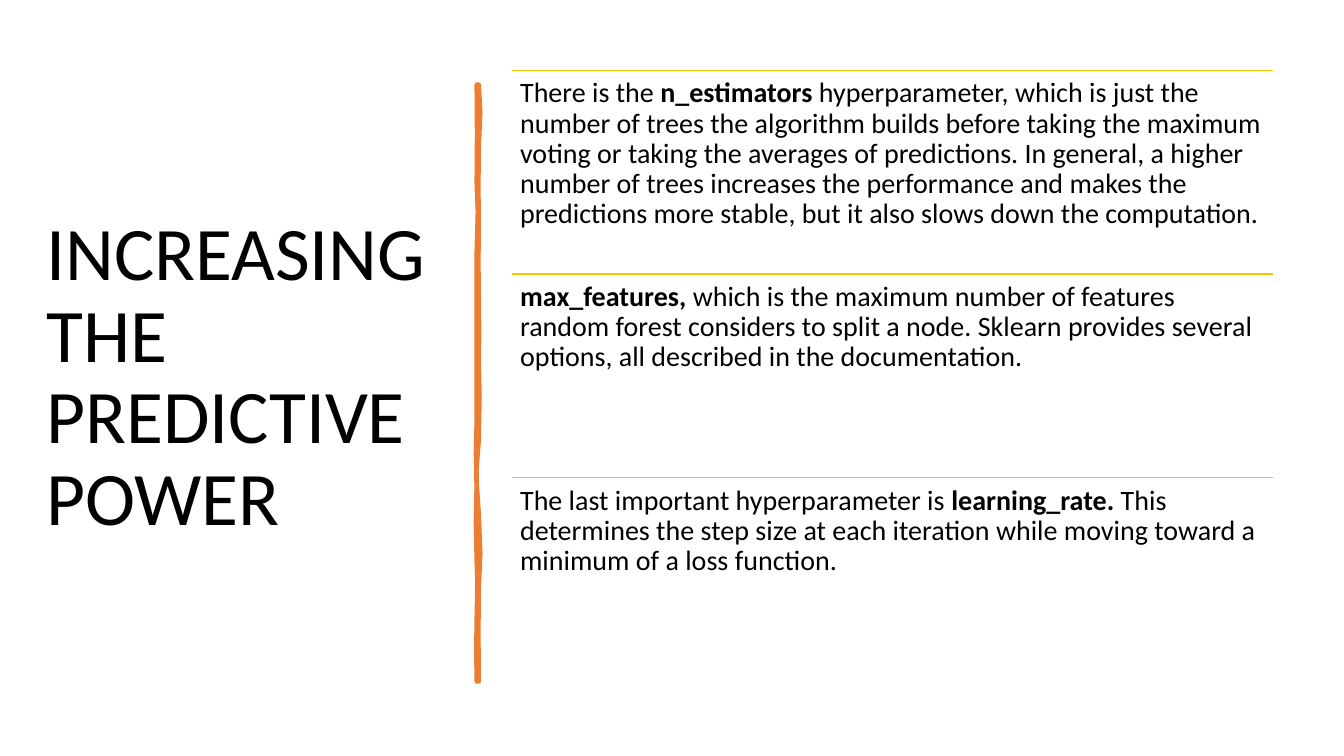
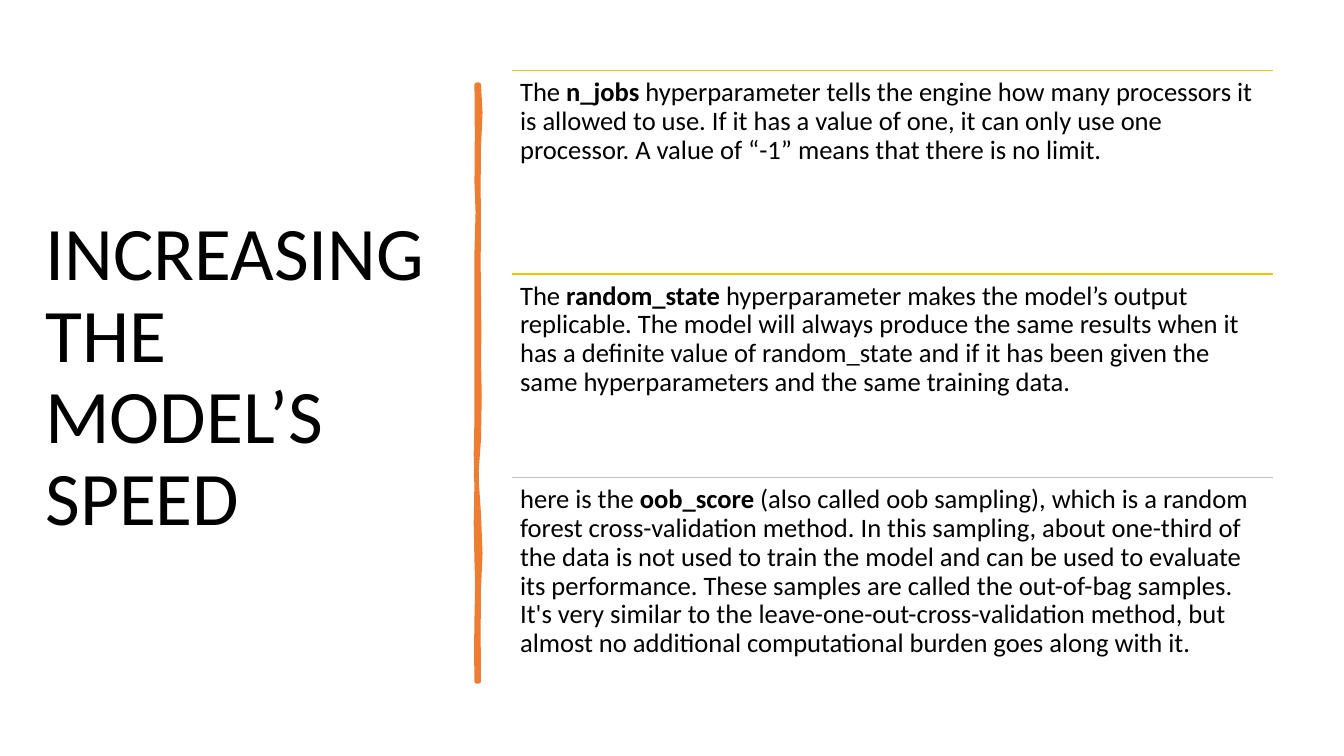
"""Build two slides on tuning a random forest."""
from dataclasses import dataclass

from lxml.etree import SubElement
from pptx import Presentation
from pptx.dml.color import RGBColor
from pptx.enum.shapes import MSO_CONNECTOR
from pptx.enum.text import MSO_ANCHOR
from pptx.oxml.ns import qn
from pptx.util import Inches, Pt


@dataclass(frozen=True)
class Theme:
    font: str = "Calibri"
    ink: str = "000000"
    brush: str = "ED7D31"
    rules: tuple = (("FFC000", 1), ("FFC000", 1), ("BFBFBF", 0.75))
    title: float = 54
    stroke: float = 3.25
    lead: float = 0.9


THEME = Theme()
RIGHT = 4.44
BRUSH = (4.73, 0.84)
LIST = (5.08, 0.7, 7.55, 6.06)

CURVES = (
    (0.04, 0.18, 0.04, 0.35, 0.02, 0.62),
    (0, 0.89, 0.03, 1.11, 0.02, 1.42),
    (0.01, 1.73, 0.02, 1.78, 0.02, 2.1),
    (0.01, 2.42, 0.04, 2.58, 0.02, 2.72),
    (0, 2.86, 0.06, 3.3, 0.02, 3.52),
    (-0.02, 3.73, -0.01, 4, 0.02, 4.26),
    (0.04, 4.52, 0.04, 4.8, 0.02, 5),
    (0, 5.19, 0.03, 5.66, 0.02, 5.92),
    (0.01, 5.92, 0, 5.92, 0, 5.92),
    (0.01, 5.62, -0.02, 5.6, 0, 5.29),
    (0.01, 4.99, 0.01, 4.86, 0, 4.73),
    (-0.01, 4.6, -0.01, 4.11, 0, 3.93),
    (0, 3.75, -0.02, 3.61, 0, 3.31),
    (0.01, 3.02, -0.01, 2.89, 0, 2.51),
    (0.01, 2.14, -0.01, 1.97, 0, 1.66),
    (0.01, 1.34, 0.02, 1.16, 0, 0.97),
    (-0.03, 0.79, 0.04, 0.2, 0, 0),
)

SLIDES = (
    ("INCREASING THE PREDICTIVE POWER", 0.41, 20, 8, (
        "There is the *n_estimators* hyperparameter, which is just the number of "
        "trees the algorithm builds before taking the maximum voting or taking "
        "the averages of predictions. In general, a higher number of trees "
        "increases the performance and makes the predictions more stable, but it "
        "also slows down the computation.",
        "*max_features,* which is the maximum number of features random forest "
        "considers to split a node. Sklearn provides several options, all "
        "described in the documentation.",
        "The last important hyperparameter is *learning_rate.* This determines "
        "the step size at each iteration while moving toward a minimum of a loss "
        "function.",
    )),
    ("INCREASING THE MODEL’S SPEED", 0.4, 19, 7, (
        "The *n_jobs* hyperparameter tells the engine how many processors it is "
        "allowed to use. If it has a value of one, it can only use one processor. "
        "A value of “-1” means that there is no limit.",
        "The *random_state* hyperparameter makes the model’s output replicable. "
        "The model will always produce the same results when it has a definite "
        "value of random_state and if it has been given the same hyperparameters "
        "and the same training data.",
        "here is the *oob_score* (also called oob sampling), which is a random "
        "forest cross-validation method. In this sampling, about one-third of the "
        "data is not used to train the model and can be used to evaluate its "
        "performance. These samples are called the out-of-bag samples. It's very "
        "similar to the leave-one-out-cross-validation method, but almost no "
        "additional computational burden goes along with it.",
    )),
)


def add_text(slide, box, text, size, pad=0.05, before=0, anchor=MSO_ANCHOR.TOP):
    """Place text in a box, with the parts between asterisks in bold."""
    frame = slide.shapes.add_textbox(*map(Inches, box)).text_frame
    frame.word_wrap = True
    frame.vertical_anchor = anchor
    frame.margin_left = frame.margin_right = Inches(pad)
    frame.margin_top = frame.margin_bottom = Inches(pad)
    para = frame.paragraphs[0]
    para.line_spacing = THEME.lead
    para.space_before = Pt(before)
    for index, part in enumerate(text.split("*")):
        if part:
            run = para.add_run()
            run.text = part
            run.font.name = THEME.font
            run.font.size = Pt(size)
            run.font.bold = index % 2 == 1
            run.font.color.rgb = RGBColor.from_string(THEME.ink)


def add_rule(slide, left, top, width, color, weight):
    """Draw a level line without a shadow."""
    ends = map(Inches, (left, top, left + width, top))
    rule = slide.shapes.add_connector(MSO_CONNECTOR.STRAIGHT, *ends)
    rule.line.color.rgb = RGBColor.from_string(color)
    rule.line.width = Pt(weight)
    SubElement(rule._element.spPr, qn("a:effectLst"))


def trace(curves, start):
    """Return the middle and the end of each cubic curve in a chain."""
    points = []
    for ax, ay, bx, by, x, y in curves:
        middle = ((start[0] + 3 * ax + 3 * bx + x) / 8,
                  (start[1] + 3 * ay + 3 * by + y) / 8)
        start = (x, y)
        points += [middle, start]
    return points


def add_brush(slide, left, top):
    """Draw the wavy upright brush stroke."""
    first = (0.02, 0)
    points = [(Inches(left + x), Inches(top + y))
              for x, y in trace(CURVES, first)]
    pen = slide.shapes.build_freeform(Inches(left + first[0]), Inches(top))
    pen.add_line_segments(points, close=True)
    brush = pen.convert_to_shape()
    brush.shadow.inherit = False
    color = RGBColor.from_string(THEME.brush)
    brush.fill.solid()
    brush.fill.fore_color.rgb = color
    brush.line.color.rgb = color
    brush.line.width = Pt(THEME.stroke)
    SubElement(brush._element.spPr.find(qn("a:ln")), qn("a:round"))


def add_list(slide, box, items, size, before):
    """Stack ruled items in rows of equal height."""
    left, top, width, height = box
    row = height / len(items)
    for index, (item, rule) in enumerate(zip(items, THEME.rules)):
        y = top + index * row
        add_rule(slide, left, y, width, *rule)
        add_text(slide, (left, y, width, row), item, size, pad=0.08, before=before)


def add_slide(deck, title, left, size, before, items):
    """Add one slide with a title, a brush stroke and a list."""
    slide = deck.slides.add_slide(deck.slide_layouts[6])
    box = (left, 0.7, RIGHT - left, 6.11)
    add_text(slide, box, title, THEME.title, anchor=MSO_ANCHOR.MIDDLE)
    add_brush(slide, *BRUSH)
    add_list(slide, LIST, items, size, before)


def main():
    """Build and save the deck."""
    deck = Presentation()
    deck.slide_width = Inches(40 / 3)
    deck.slide_height = Inches(7.5)
    for content in SLIDES:
        add_slide(deck, *content)
    deck.save("out.pptx")


if __name__ == "__main__":
    main()
